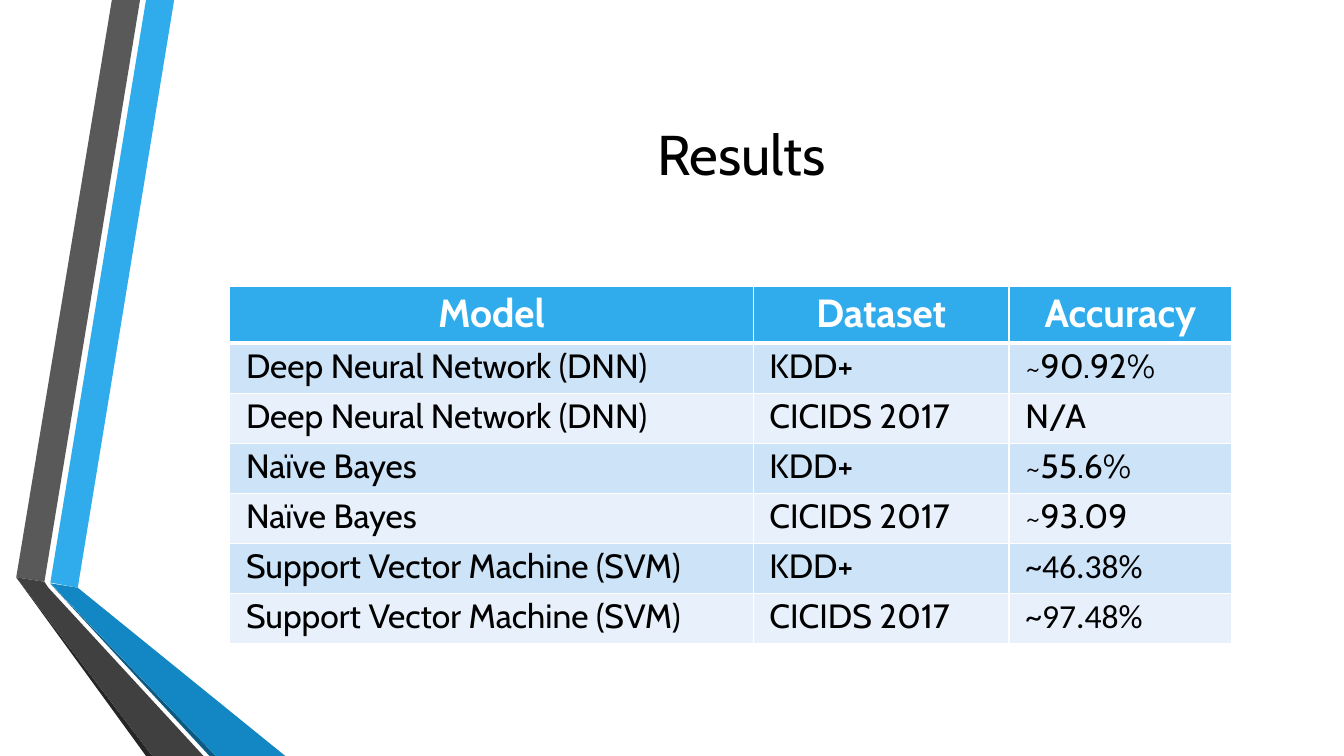
"""Build the results slide: angled ribbons, a title and a table of model accuracy."""
from lxml.etree import SubElement
from pptx import Presentation
from pptx.dml.color import RGBColor
from pptx.enum.text import MSO_ANCHOR, PP_ALIGN
from pptx.oxml.ns import qn
from pptx.util import Cm, Pt

COLORS = {
    "blue": "30ACEC", "blue_fold": "1287C3", "blue_edge": "0C5A82",
    "gray": "595959", "gray_fold": "404040", "gray_edge": "262626",
    "odd_row": "CDE3F8", "even_row": "E8F1FB", "white": "FFFFFF", "black": "000000",
}
TITLE = "Results"
HEADERS = ("Model", "Dataset", "Accuracy")
DATASETS = ("KDD+", "CICIDS 2017")
RESULTS = [
    ("Deep Neural Network (DNN)", ("~90.92%", "N/A"), "Cabin"),
    ("Naïve Bayes", ("~55.6%", "~93.09"), "Cabin"),
    ("Support Vector Machine (SVM)", ("~46.38%", "~97.48%"), "Calibri"),
]
RIBBONS = [
    ("blue", [(1.27, 14.68), (1.96, 14.81), (4.39, 0), (3.68, 0)]),
    ("gray", [(3.53, 0), (2.82, 0), (0.41, 14.55), (1.12, 14.66)]),
    ("gray_edge", [(0.41, 14.55), (3.68, 19.05), (3.84, 19.05)]),
    ("blue_edge", [(1.27, 14.71), (5.28, 19.05), (5.44, 19.05)]),
    ("blue_fold", [(1.27, 14.7), (5.44, 19.05), (7.19, 19.05), (1.96, 14.81)]),
    ("gray_fold", [(5.13, 19.05), (1.22, 14.81), (1.12, 14.66), (0.41, 14.55), (3.84, 19.05)]),
]
COLUMN_WIDTHS = (13.19, 6.45, 5.61)
HEADER_HEIGHT, ROW_HEIGHT = 1.43, 1.26


def color(name):
    return RGBColor.from_string(COLORS[name])


def write_text(frame, text, *, size, font="Cabin", ink="black", bold=False,
               align=PP_ALIGN.LEFT, line_spacing=1.0, space_after=0):
    frame.word_wrap = True
    paragraph = frame.paragraphs[0]
    paragraph.alignment = align
    paragraph.line_spacing = line_spacing
    paragraph.space_after = Pt(space_after)
    run = paragraph.add_run()
    run.text = text
    run.font.name = font
    run.font.size = Pt(size)
    run.font.bold = bold
    run.font.color.rgb = color(ink)


def add_ribbon(slide, fill, points):
    corners = [(Cm(x), Cm(y)) for x, y in points]
    builder = slide.shapes.build_freeform(*corners[0])
    builder.add_line_segments(corners[1:], close=True)
    shape = builder.convert_to_shape()
    shape.shadow.inherit = False
    shape.fill.solid()
    shape.fill.fore_color.rgb = color(fill)
    shape.line.fill.background()


def format_cell(cell, fill, bottom_width):
    cell.margin_left = cell.margin_right = Cm(0.41)
    cell.margin_top = cell.margin_bottom = 0
    properties = cell._tc.get_or_add_tcPr()
    for side, width in (("L", 1), ("R", 1), ("T", 1), ("B", bottom_width)):
        line = SubElement(properties, qn(f"a:ln{side}"), w=str(Pt(width)))
        SubElement(SubElement(line, qn("a:solidFill")), qn("a:srgbClr"), val=COLORS["white"])
    cell.fill.solid()
    cell.fill.fore_color.rgb = color(fill)


def add_results_table(slide):
    rows = [[(header, "Cabin") for header in HEADERS]]
    for model, accuracies, font in RESULTS:
        for dataset, accuracy in zip(DATASETS, accuracies):
            rows.append([(model, "Cabin"), (dataset, "Cabin"), (accuracy, font)])
    heights = [HEADER_HEIGHT] + [ROW_HEIGHT] * (len(rows) - 1)
    table = slide.shapes.add_table(len(rows), len(HEADERS), Cm(5.79), Cm(7.22),
                                   Cm(sum(COLUMN_WIDTHS)), Cm(sum(heights))).table
    for column, width in zip(table.columns, COLUMN_WIDTHS):
        column.width = Cm(width)
    header_style = dict(size=28, ink="white", bold=True, align=PP_ALIGN.CENTER)
    for index, row in enumerate(rows):
        table.rows[index].height = Cm(heights[index])
        is_header = index == 0
        fill = "blue" if is_header else "odd_row" if index % 2 else "even_row"
        style = header_style if is_header else dict(size=24)
        for position, (text, font) in enumerate(row):
            cell = table.cell(index, position)
            format_cell(cell, fill, 3 if is_header else 1)
            write_text(cell.text_frame, text, font=font, line_spacing=1.07,
                       space_after=8, **style)


presentation = Presentation()
presentation.slide_width, presentation.slide_height = Cm(33.87), Cm(19.05)
slide = presentation.slides.add_slide(presentation.slide_layouts[6])
for fill, points in RIBBONS:
    add_ribbon(slide, fill, points)
title = slide.shapes.add_textbox(Cm(5.16), Cm(1.93), Cm(27.05), Cm(3.84))
title.text_frame.vertical_anchor = MSO_ANCHOR.MIDDLE
write_text(title.text_frame, TITLE, size=40, align=PP_ALIGN.CENTER)
add_results_table(slide)
presentation.save("out.pptx")
